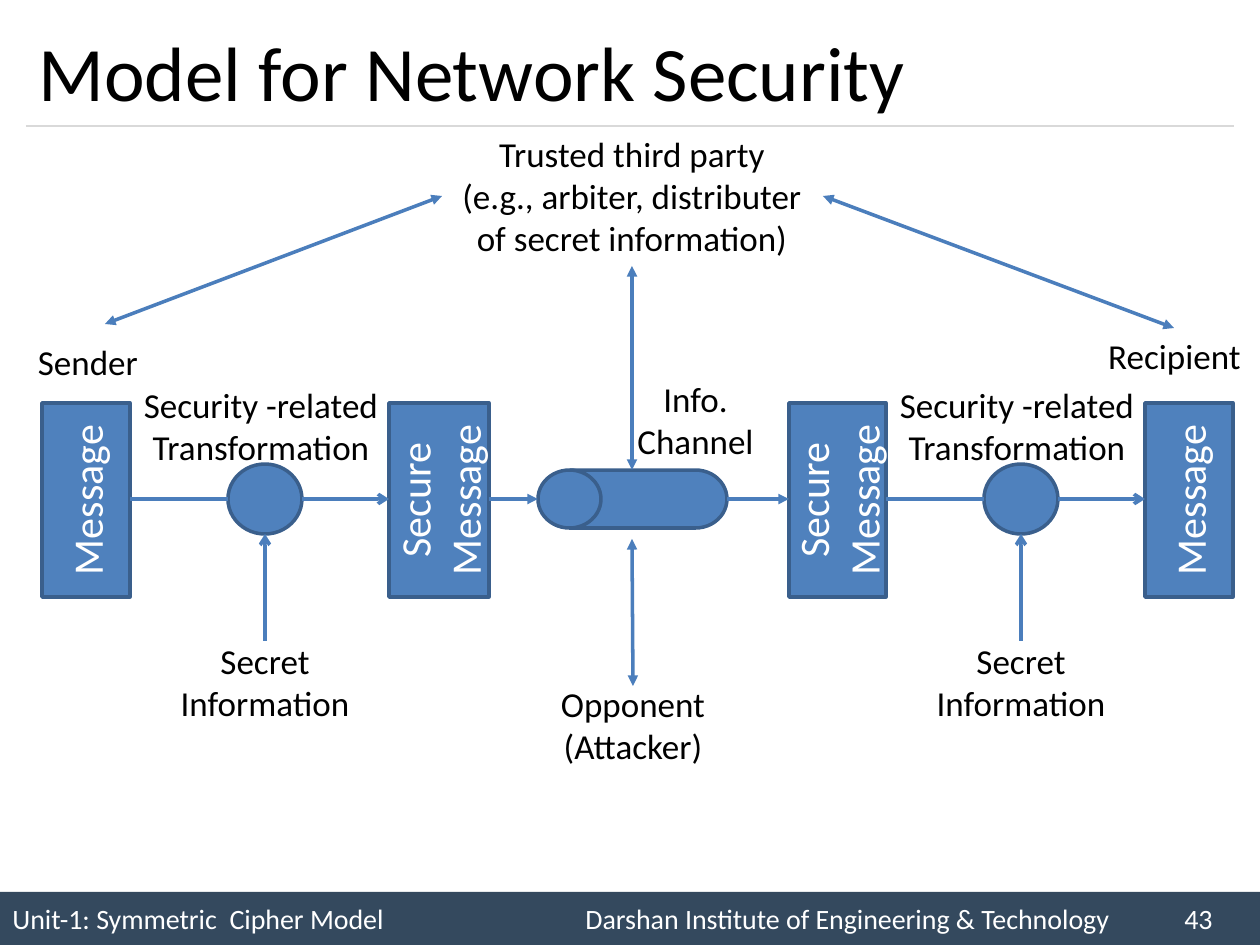
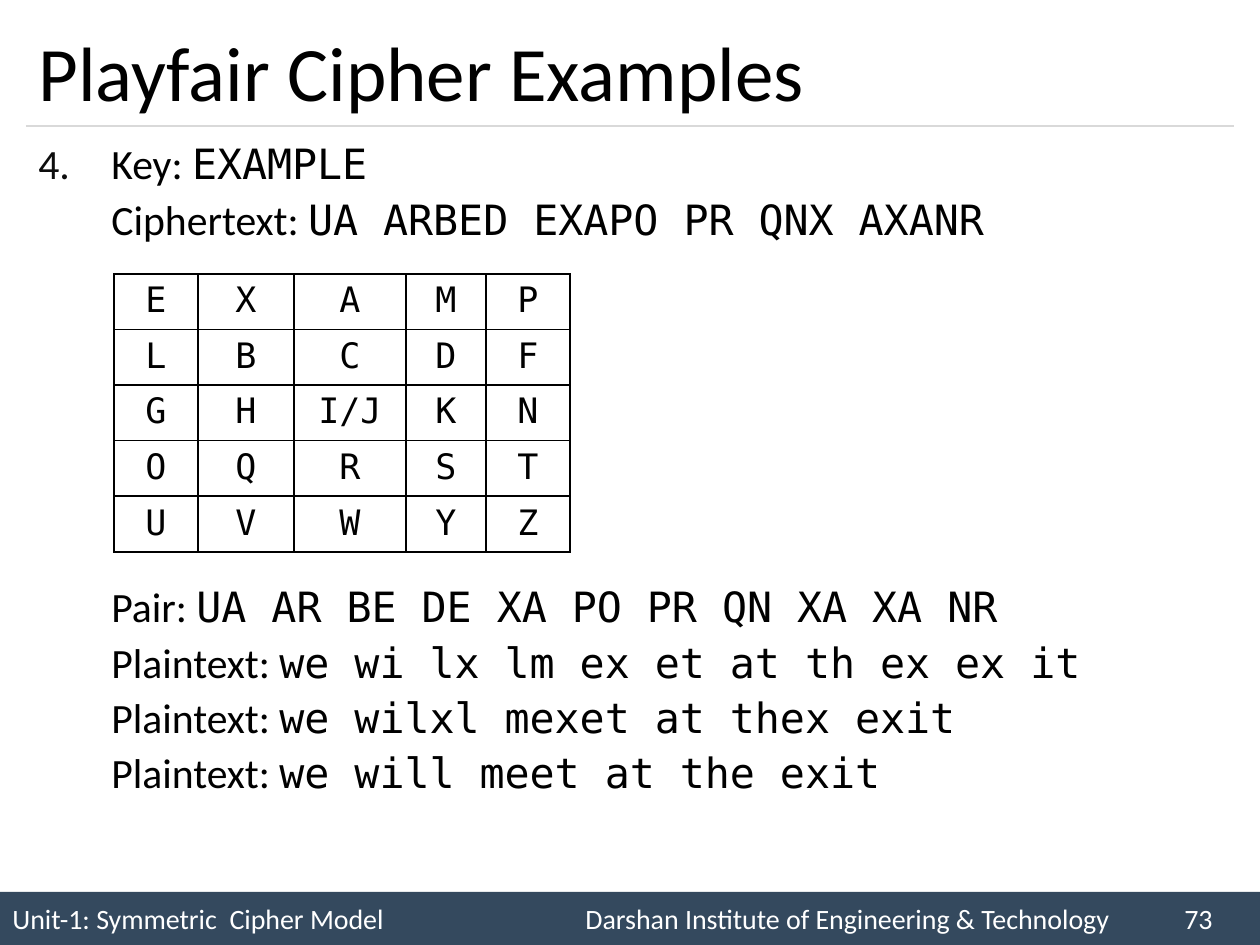
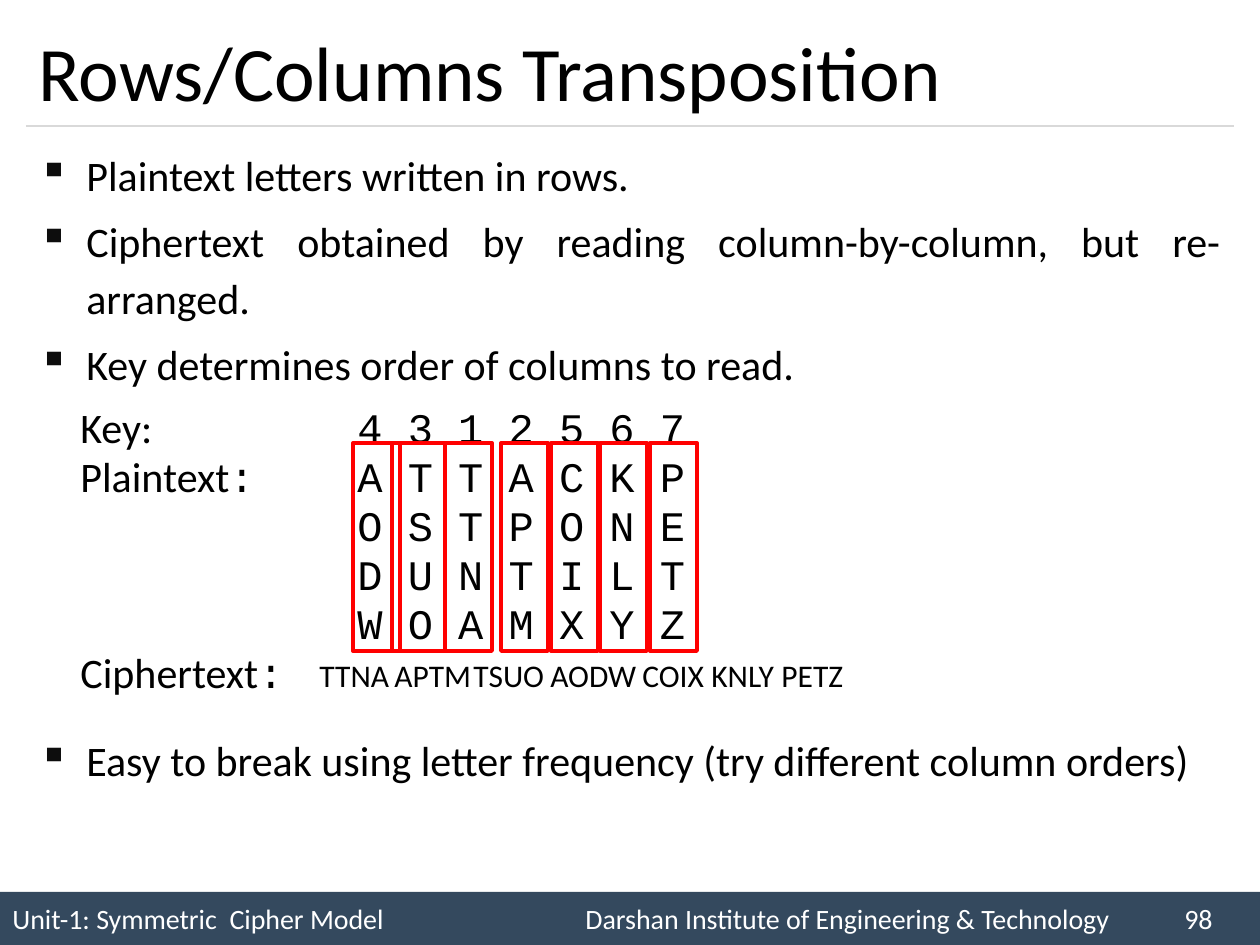
from lxml.etree import SubElement
from pptx import Presentation
from pptx.dml.color import RGBColor
from pptx.enum.shapes import MSO_CONNECTOR, MSO_SHAPE as SHAPE
from pptx.enum.text import MSO_ANCHOR as ANCHOR, MSO_AUTO_SIZE, PP_ALIGN as ALIGN
from pptx.oxml.ns import qn
from pptx.util import Emu, Pt

COLORS = {
    "text": "000000", "white": "FFFFFF", "band": "34495E", "rule": "D9D9D9",
    "node": "4F81BD", "edge": "3A5F8C", "arrow": "4B7EBC", "mark": "FF0000",
    "bullet": "0D0D0D",
}
SANS, MONO, COURIER = "Calibri", "DejaVu Sans Mono", "Courier New"
WIDTH, HEIGHT = 1260, 945


def px(length):
    return Emu(round(length * 914400 / 126))


def rgb(name):
    return RGBColor.from_string(COLORS[name])


# Text
def fill_frame(frame, paragraphs, size, color="text", align=ALIGN.LEFT,
               spacing=None, before=0):
    """Each paragraph is a string or a list of (text, font) runs."""
    frame.word_wrap = True
    for index, content in enumerate(paragraphs):
        paragraph = frame.add_paragraph() if index else frame.paragraphs[0]
        paragraph.alignment = align
        if spacing:
            paragraph.line_spacing = spacing
        if index and before:
            paragraph.space_before = Pt(before)
        runs = [(content, SANS)] if isinstance(content, str) else content
        for text, face in runs:
            run = paragraph.add_run()
            run.text = text
            run.font.name, run.font.size = face, Pt(size)
            run.font.color.rgb = rgb(color)


def add_text(slide, box, paragraphs, size=20, **style):
    frame = slide.shapes.add_textbox(*map(px, box)).text_frame
    fill_frame(frame, paragraphs, size, **style)
    return frame


def add_label(slide, box, *lines):
    add_text(slide, box, lines, align=ALIGN.CENTER)


def set_tabs(paragraph, stops):
    tab_list = SubElement(paragraph._p.get_or_add_pPr(), qn("a:tabLst"))
    for stop in stops:
        SubElement(tab_list, qn("a:tab"), pos=str(px(stop)), algn="l")


def set_bullet(paragraph, indent, kind, **attributes):
    properties = paragraph._p.get_or_add_pPr()
    properties.set("marL", str(px(indent)))
    properties.set("indent", str(-px(indent)))
    bullet_color = SubElement(properties, qn("a:buClr"))
    SubElement(bullet_color, qn("a:srgbClr"), val=COLORS["bullet"])
    SubElement(properties, qn(kind), **attributes)


# Shapes and lines
def add_node(slide, kind, box, fill="node", line="edge", weight=2):
    shape = slide.shapes.add_shape(kind, *map(px, box))
    shape.shadow.inherit = False
    if fill:
        shape.fill.solid()
        shape.fill.fore_color.rgb = rgb(fill)
    else:
        shape.fill.background()
    if line:
        shape.line.color.rgb = rgb(line)
        shape.line.width = Pt(weight)
    else:
        shape.line.fill.background()
    return shape


def add_line(slide, start, end, head=None, tail=None, color="arrow", weight=2):
    line = slide.shapes.add_connector(MSO_CONNECTOR.STRAIGHT,
                                      *map(px, start + end))
    line.line.color.rgb = rgb(color)
    line.line.width = Pt(weight)
    outline = line.line._get_or_add_ln()
    for tag, arrow in (("a:headEnd", head), ("a:tailEnd", tail)):
        if arrow:
            SubElement(outline, qn(tag), type=arrow)
    SubElement(line._element.spPr, qn("a:effectLst"))


def add_message(slide, box, *lines):
    frame = add_node(slide, SHAPE.RECTANGLE, box).text_frame
    fill_frame(frame, lines, 24, "white", ALIGN.CENTER)
    frame.vertical_anchor = ANCHOR.MIDDLE
    frame._txBody.bodyPr.set("vert", "vert270")


# Shared slide frame
def new_slide(deck, heading, number):
    slide = deck.slides.add_slide(deck.slide_layouts[5])
    band = add_node(slide, SHAPE.RECTANGLE, (0, 892, WIDTH, 53), "band", None)
    footer = band.text_frame
    footer.vertical_anchor = ANCHOR.MIDDLE
    set_tabs(footer.paragraphs[0], (573, 1172))
    fill_frame(footer, ["Unit-1: Symmetric  Cipher Model\t"
                        "Darshan Institute of Engineering & Technology\t"
                        f"{number}"], 16, "white")
    add_line(slide, (26, 126), (1234, 126), color="rule", weight=0.75)

    title = slide.shapes.title
    title.left, title.top, title.width, title.height = map(
        px, (26, 15, 1207, 111))
    title.text_frame.auto_size = MSO_AUTO_SIZE.NONE
    title.text_frame.vertical_anchor = ANCHOR.MIDDLE
    fill_frame(title.text_frame, [heading], 44)
    return slide


# Slide: network security model
def add_transformation(slide, left):
    """Transformation circle with its input, output and secret."""
    center = left + 135
    add_node(slide, SHAPE.OVAL, (left + 98, 464, 74, 70))
    add_line(slide, (left, 499), (left + 98, 499))
    add_line(slide, (left + 172, 499), (left + 259, 499), tail="arrow")
    add_line(slide, (center, 641), (center, 534), tail="arrow")
    add_label(slide, (left + 38, 633, 194, 97), "Secret", "Information")
    add_label(slide, (left - 15, 377, 292, 97),
              "Security -related Transformation")


def security_model(deck):
    slide = new_slide(deck, "Model for Network Security", 43)
    for left, width, lines in ((42, 88, ["Message"]),
                               (389, 100, ["Secure", "Message"]),
                               (789, 97, ["Secure", "Message"]),
                               (1145, 88, ["Message"])):
        add_message(slide, (left, 403, width, 194), *lines)
    for left in (130, 886):
        add_transformation(slide, left)

    # Information channel
    channel = add_node(slide, SHAPE.FLOWCHART_DIRECT_ACCESS_STORAGE,
                       (538, 470, 189, 58))
    channel.rotation = 180
    for start, end in ((489, 538), (727, 789)):
        add_line(slide, (start, 499), (end, 499), tail="triangle")

    # Parties and their links
    for start, end in (((105, 324), (442, 196)), ((823, 196), (1174, 328)),
                       ((632, 266), (632, 470)), ((632, 539), (633, 686))):
        add_line(slide, start, end, "triangle", "triangle")
    add_label(slide, (25, 334, 126, 55), "Sender")
    add_label(slide, (1093, 328, 163, 55), "Recipient")
    add_label(slide, (442, 126, 380, 140), "Trusted third party",
              "(e.g., arbiter, distributer", "of secret information)")
    add_label(slide, (545, 676, 176, 97), "Opponent", "(Attacker)")
    add_label(slide, (622, 371, 147, 97), "Info.", "Channel")


# Slide: Playfair example
def add_key_square(slide, left, top, widths, height, rows):
    table = slide.shapes.add_table(
        len(rows), len(widths),
        *map(px, (left, top, sum(widths), height))).table
    table.first_row = table.horz_banding = False
    for column, width in zip(table.columns, widths):
        column.width = px(width)
    for row, letters in zip(table.rows, rows):
        for cell, letter in zip(row.cells, letters):
            fill_frame(cell.text_frame, [[(letter, MONO)]], 20,
                       align=ALIGN.CENTER)
            properties = cell._tc.get_or_add_tcPr()
            for side in ("a:lnL", "a:lnR", "a:lnT", "a:lnB"):
                border = SubElement(properties, qn(side), w=str(Pt(1)))
                solid = SubElement(border, qn("a:solidFill"))
                SubElement(solid, qn("a:srgbClr"), val=COLORS["text"])
            cell.fill.background()


def playfair_example(deck):
    slide = new_slide(deck, "Playfair Cipher Examples", 73)
    spacing = dict(size=23.8, spacing=0.94, before=4.76)
    given = add_text(slide, (26, 136, 1218, 120), [
        [("Key: ", SANS), ("EXAMPLE", MONO)],
        [("Ciphertext: ", SANS), ("UA ARBED EXAPO PR QNX AXANR", MONO)],
    ], **spacing)
    set_bullet(given.paragraphs[0], 73, "a:buAutoNum",
               type="arabicPeriod", startAt="4")
    given.paragraphs[1]._p.get_or_add_pPr().set("marL", str(px(73)))

    add_key_square(slide, 114, 274, (84, 96, 112, 80, 84), 278, [
        "EXAMP", "LBCDF", ["G", "H", "I/J", "K", "N"], "OQRST", "UVWYZ"])

    add_text(slide, (99, 579, 1145, 230), [
        [(f"{step}: ", SANS), (letters, MONO)] for step, letters in (
            ("Pair", "UA AR BE DE XA PO PR QN XA XA NR"),
            ("Plaintext", "we wi lx lm ex et at th ex ex it"),
            ("Plaintext", "we wilxl mexet at thex exit"),
            ("Plaintext", "we will meet at the exit"))
    ], **spacing)


# Slide: transposition
def add_points(slide, top, height, points):
    frame = add_text(slide, (26, top, 1207, height), points, 24,
                     align=ALIGN.JUSTIFY, spacing=1.14, before=4.8)
    for paragraph in frame.paragraphs:
        set_bullet(paragraph, 48, "a:buChar", char="▪")


def transposition(deck):
    slide = new_slide(deck, "Rows/Columns Transposition", 98)
    add_points(slide, 136, 265, [
        "Plaintext letters written in rows.",
        "Ciphertext obtained by reading column-by-column, but re-arranged.",
        "Key determines order of columns to read."])
    add_points(slide, 721, 75, [
        "Easy to break using letter frequency "
        "(try diﬀerent column orders)"])

    # Letter grid, one tab stop per column
    grid_rows = [("Key:", "", "4312567"), ("Plaintext", ":", "ATTACKP"),
                 ("", "", "OSTPONE"), ("", "", "DUNTILT"),
                 ("", "", "WOAMXYZ"), ("Ciphertext", ":", "")]
    grid = add_text(slide, (68, 397, 800, 306), [
        [(name, SANS)] * bool(name)
        + [(colon + "".join("\t" + letter for letter in letters), COURIER)]
        for name, colon, letters in grid_rows
    ], 24, spacing=Pt(28))
    for paragraph in grid.paragraphs:
        set_tabs(paragraph, [277 + 50.4 * column for column in range(7)])

    # Column marks
    for left, width in ((353, 47), (392, 53), (445, 47), (501, 47),
                        (551, 47), (600, 47), (650, 47)):
        add_node(slide, SHAPE.RECTANGLE, (left, 443, width, 208),
                 None, "mark", 2.25)

    # Columns in key order
    for left, group in ((307, "TTNA"), (382, "APTM"), (461, "TSUO"),
                        (538, "AODW"), (630, "COIX"), (699, "KNLY"),
                        (769, "PETZ")):
        add_text(slide, (left, 650, 120, 50), [group], 18)


def main():
    deck = Presentation()
    deck.slide_width, deck.slide_height = px(WIDTH), px(HEIGHT)
    security_model(deck)
    playfair_example(deck)
    transposition(deck)
    deck.save("out.pptx")


if __name__ == "__main__":
    main()
